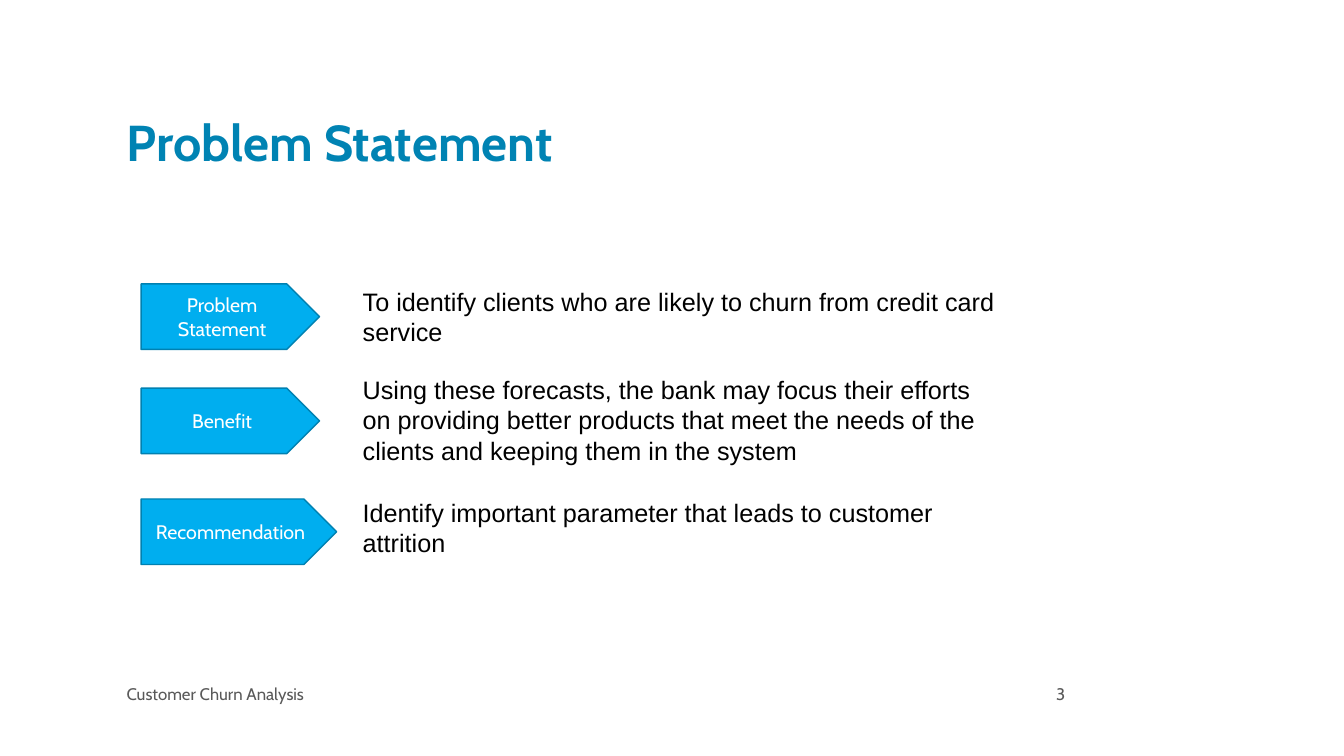
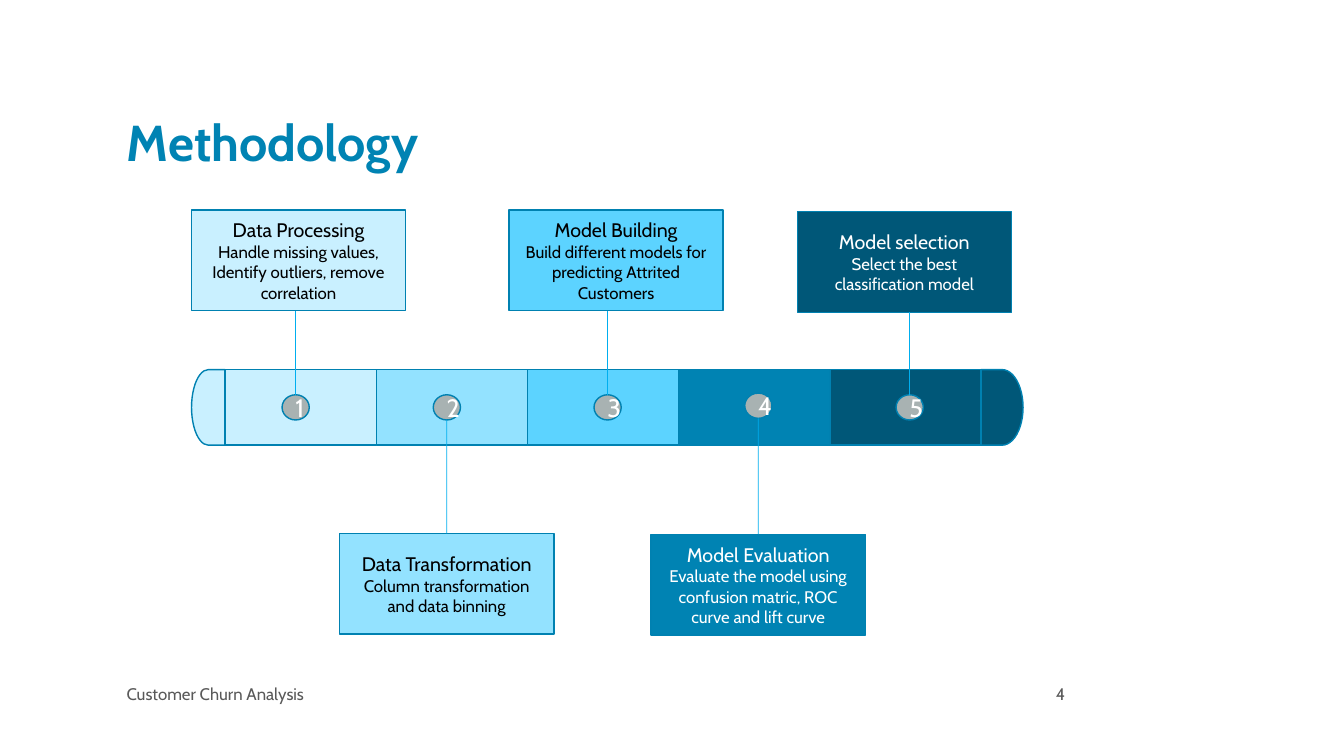
from lxml.etree import SubElement
from pptx import Presentation
from pptx.dml.color import RGBColor
from pptx.enum.shapes import MSO_CONNECTOR, MSO_SHAPE
from pptx.enum.text import MSO_ANCHOR, MSO_AUTO_SIZE, PP_ALIGN
from pptx.oxml.ns import qn
from pptx.util import Inches, Pt

COLUMNS, ROWS = 80, 45

TITLE_BLUE = RGBColor(0x00, 0x83, 0xB3)
OUTLINE_BLUE = RGBColor(0x00, 0x81, 0xB1)
ACCENT_BLUE = RGBColor(0x00, 0xAE, 0xEF)
ICE_BLUE = RGBColor(0xC9, 0xF0, 0xFF)
PALE_BLUE = RGBColor(0x93, 0xE2, 0xFF)
SKY_BLUE = RGBColor(0x5C, 0xD3, 0xFF)
DEEP_BLUE = RGBColor(0x00, 0x57, 0x78)
MARKER_GRAY = RGBColor(0xA8, 0xB2, 0xB2)
FOOTER_GRAY = RGBColor(0x59, 0x59, 0x59)
BLACK = RGBColor(0x00, 0x00, 0x00)
WHITE = RGBColor(0xFF, 0xFF, 0xFF)

TITLE_FONT = {"name": "Cabin", "size": Pt(36), "bold": True}
BODY_FONT = {"name": "Arial", "size": Pt(18)}
LABEL_FONT = {"name": "Cabin", "size": Pt(14)}
DETAIL_FONT = {"name": "Cabin", "size": Pt(12)}
MARKER_FONT = {"name": "Cabin", "size": Pt(18)}

TITLE_FRAME = {
    "word_wrap": True,
    "auto_size": MSO_AUTO_SIZE.NONE,
    "vertical_anchor": MSO_ANCHOR.BOTTOM,
}
BODY_FRAME = {"word_wrap": True, "auto_size": MSO_AUTO_SIZE.SHAPE_TO_FIT_TEXT}
MIDDLE_FRAME = {"word_wrap": True, "vertical_anchor": MSO_ANCHOR.MIDDLE}

TITLE_PARAGRAPH = {"alignment": PP_ALIGN.LEFT, "line_spacing": 0.8}
LEFT = {"alignment": PP_ALIGN.LEFT}
CENTER = {"alignment": PP_ALIGN.CENTER}
RIGHT = {"alignment": PP_ALIGN.RIGHT}

TITLE_AREA = (6.95, 3.5, 57, 7)
FOOTER_AREA = (6.95, 40.4, 37.1, 1.8)
NUMBER_AREA = (56, 40.4, 8, 1.8)
FOOTER_TEXT = "Customer Churn Analysis"


def assign(target, values):
    for name, value in values.items():
        setattr(target, name, value)


class Deck:
    def __init__(self):
        self.presentation = Presentation()
        assign(
            self.presentation,
            {"slide_width": Inches(13.33), "slide_height": Inches(7.5)},
        )
        self.slide = None

    def column(self, count):
        return round(self.presentation.slide_width * count / COLUMNS)

    def row(self, count):
        return round(self.presentation.slide_height * count / ROWS)

    def area(self, left, top, width, height):
        return self.column(left), self.row(top), self.column(width), self.row(height)

    def fill_text(self, shape, lines, color, frame_format, paragraph_format):
        frame = shape.text_frame
        frame.text = "\n".join(text for text, font_format in lines)
        assign(frame, frame_format)
        for paragraph, (text, font_format) in zip(frame.paragraphs, lines):
            assign(paragraph, paragraph_format)
            font = paragraph.runs[0].font
            assign(font, font_format)
            font.color.rgb = color

    def new_slide(self, title, number):
        layout = self.presentation.slide_layouts[5]
        self.slide = self.presentation.slides.add_slide(layout)
        shape = self.slide.shapes.title
        assign(shape, dict(zip(("left", "top", "width", "height"), self.area(*TITLE_AREA))))
        self.fill_text(shape, [(title, TITLE_FONT)], TITLE_BLUE, TITLE_FRAME, TITLE_PARAGRAPH)
        self.text(FOOTER_AREA, FOOTER_TEXT, DETAIL_FONT, FOOTER_GRAY, MIDDLE_FRAME, LEFT)
        self.text(NUMBER_AREA, str(number), DETAIL_FONT, FOOTER_GRAY, MIDDLE_FRAME, RIGHT)

    def text(self, area, text, font_format, color, frame_format, paragraph_format):
        shape = self.slide.shapes.add_textbox(*self.area(*area))
        self.fill_text(shape, [(text, font_format)], color, frame_format, paragraph_format)

    def shape(self, kind, area, fill, lines=(), color=WHITE, rotation=0):
        shape = self.slide.shapes.add_shape(kind, *self.area(*area))
        shape.shadow.inherit = False
        shape.rotation = rotation
        shape.fill.solid()
        shape.fill.fore_color.rgb = fill
        shape.line.color.rgb = OUTLINE_BLUE
        shape.line.width = Pt(1)
        if lines:
            self.fill_text(shape, lines, color, MIDDLE_FRAME, CENTER)
        return shape

    def connector(self, column, start, end):
        x = self.column(column)
        connector = self.slide.shapes.add_connector(
            MSO_CONNECTOR.STRAIGHT, x, self.row(start), x, self.row(end)
        )
        connector.line.color.rgb = ACCENT_BLUE
        connector.line.width = Pt(0.5)
        SubElement(connector._element.spPr, qn("a:effectLst"))
        return connector

    def save(self):
        self.presentation.save("out.pptx")


def build_problem_statement(deck):
    deck.new_slide("Problem Statement", 3)
    statements = [
        ("Problem Statement", 16.9, 10.62, 16.75, 4.25,
         "To identify clients who are likely to churn from credit card service"),
        ("Benefit", 23.1, 10.62, 22, 6.05,
         "Using these forecasts, the bank may focus their efforts on providing better "
         "products that meet the needs of the clients and keeping them in the system"),
        ("Recommendation", 29.7, 11.64, 29.3, 4.25,
         "Identify important parameter that leads to customer attrition"),
    ]
    for label, label_top, label_width, text_top, text_height, text in statements:
        deck.shape(
            MSO_SHAPE.PENTAGON, (8.4, label_top, label_width, 3.9),
            ACCENT_BLUE, [(label, LABEL_FONT)],
        )
        deck.text((21, text_top, 39.25, text_height), text, BODY_FONT, BLACK, BODY_FRAME, LEFT)


def build_methodology(deck):
    deck.new_slide("Methodology", 4)
    bar_left, bar_top, bar_height, segment = 13.4, 22, 4.5, 9
    card_width, card_height = 12.75, 6
    marker_width, marker_height = 1.62, 1.5
    steps = [
        ("Data Processing", "Handle missing values, Identify outliers, remove correlation",
         ICE_BLUE, BLACK, 11.4, 12.5, 17.6, 23.5),
        ("Data Transformation", "Column transformation and data binning",
         PALE_BLUE, BLACK, 20.22, 31.75, 26.6, 23.5),
        ("Model Building", "Build different models for predicting Attrited Customers",
         SKY_BLUE, BLACK, 30.3, 12.5, 36.17, 23.5),
        ("Model Evaluation", "Evaluate the model using confusion matric, ROC curve and lift curve",
         TITLE_BLUE, WHITE, 38.76, 31.8, 45.14, 23.4),
        ("Model selection", "Select the best classification model",
         DEEP_BLUE, WHITE, 47.46, 12.6, 54.15, 23.5),
    ]
    bar_right = bar_left + segment * len(steps)
    deck.shape(
        MSO_SHAPE.FLOWCHART_DELAY, (bar_left - 2, bar_top, 2, bar_height),
        ICE_BLUE, rotation=180,
    )
    deck.shape(MSO_SHAPE.FLOWCHART_DELAY, (bar_right, bar_top, 2.5, bar_height), DEEP_BLUE)
    for index, step in enumerate(steps):
        deck.shape(
            MSO_SHAPE.RECTANGLE,
            (bar_left + segment * index, bar_top, segment, bar_height), step[2],
        )
    for number, step in enumerate(steps, 1):
        title, detail, fill, color, card_left, card_top, center, marker_top = step
        deck.shape(
            MSO_SHAPE.OVAL,
            (center - marker_width / 2, marker_top, marker_width, marker_height),
            MARKER_GRAY, [(str(number), MARKER_FONT)],
        )
        card = deck.shape(
            MSO_SHAPE.RECTANGLE, (card_left, card_top, card_width, card_height),
            fill, [(title, LABEL_FONT), (detail, DETAIL_FONT)], color,
        )
        if card_top > bar_top:
            connector = deck.connector(center, marker_top + marker_height, card_top)
            connector.end_connect(card, 0)
        else:
            deck.connector(center, marker_top, card_top + card_height)


def main():
    deck = Deck()
    build_problem_statement(deck)
    build_methodology(deck)
    deck.save()


if __name__ == "__main__":
    main()
